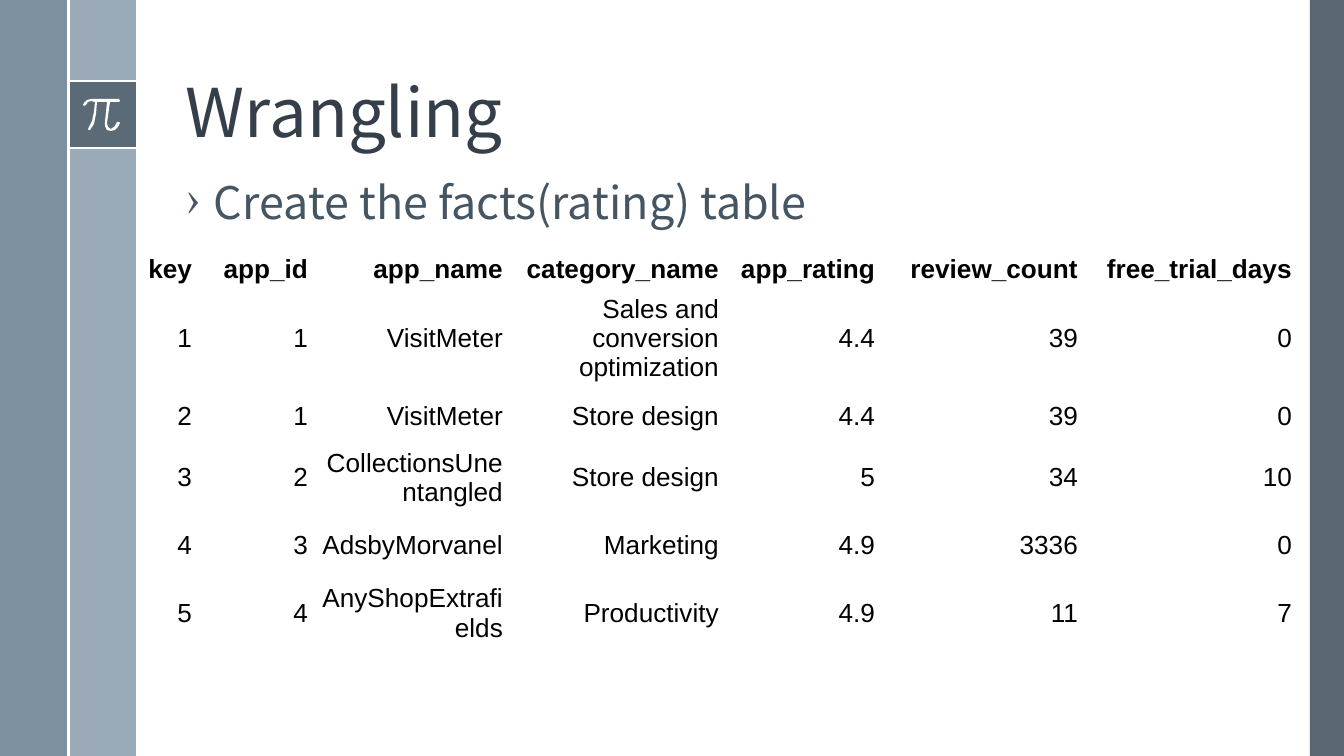
from lxml.etree import SubElement
from pptx import Presentation
from pptx.dml.color import RGBColor
from pptx.enum.shapes import MSO_CONNECTOR as CONNECTOR, MSO_SHAPE as SHAPE
from pptx.enum.text import MSO_ANCHOR as ANCHOR, PP_ALIGN as ALIGN
from pptx.oxml.ns import qn
from pptx.util import Pt

SCALE = 914400 / 134.4
WIDTH, HEIGHT = 1344, 756
SLATE, WHITE = "465562", "FFFFFF"
HEADING_FONT, TABLE_FONT = "Noto Sans CJK SC", "Arial"
NO_GRID_STYLE = "{2D5ABB26-0587-4C30-8999-92F81FD0307C}"

PI_OUTLINE = [
    (36, 0), (8, 0), (4, 1), (1, 4), (0, 6), (1, 7), (3, 6), (5, 3), (8, 2),
    (12, 3), (11, 13), (9, 22), (6, 28), (5, 30), (6, 31), (7, 31), (11, 25),
    (13, 15), (14, 3), (24, 3), (22, 23), (22, 27), (24, 31), (28, 32),
    (32, 31), (35, 28), (37, 24), (36, 23), (34, 23), (32, 27), (28, 30),
    (25, 28), (24, 24), (27, 3), (36, 3), (37, 2),
]
COLUMN_WIDTHS = [102, 116, 195, 216, 156, 203, 214]
ROW_HEIGHTS = [36, 67, 55, 51, 67, 36]
RATINGS = [
    ["key", "app_id", "app_name", "category_name", "app_rating",
     "review_count", "free_trial_days"],
    ["1", "1", "VisitMeter", "Sales and conversion optimization", "4.4", "39", "0"],
    ["2", "1", "VisitMeter", "Store design", "4.4", "39", "0"],
    ["3", "2", "CollectionsUnentangled", "Store design", "5", "34", "10"],
    ["4", "3", "AdsbyMorvanel", "Marketing", "4.9", "3336", "0"],
    ["5", "4", "AnyShopExtrafields", "Productivity", "4.9", "11", "7"],
]


def px(length):
    """Turn px into EMU."""
    return round(length * SCALE)


def rgb(value):
    """Turn a hex string into a colour."""
    return RGBColor.from_string(value)


def paint(shape, color, opacity=100):
    """Give a shape a flat fill without line or shadow."""
    shape.shadow.inherit = False
    shape.line.fill.background()
    shape.fill.solid()
    shape.fill.fore_color.rgb = rgb(color)
    if opacity < 100:
        fill_color = shape.element.spPr.find(qn("a:solidFill"))[0]
        SubElement(fill_color, qn("a:alpha"), val=str(opacity * 1000))


def add_block(slide, box, color, opacity=100):
    """Add a plain rectangle."""
    block = slide.shapes.add_shape(SHAPE.RECTANGLE, *map(px, box))
    paint(block, color, opacity)


def add_rule(slide, start, end):
    """Add a thin white line."""
    rule = slide.shapes.add_connector(CONNECTOR.STRAIGHT, *map(px, start + end))
    rule.line.color.rgb = rgb(WHITE)
    rule.line.width = Pt(1.5)
    SubElement(rule.element.spPr, qn("a:effectLst"))


def set_insets(holder, side, top):
    """Set equal side insets and equal top and bottom insets."""
    holder.margin_left = holder.margin_right = px(side)
    holder.margin_top = holder.margin_bottom = px(top)


def set_font(paragraph, name, size, color, bold=False):
    """Format every run of a paragraph."""
    for run in paragraph.runs:
        run.font.name, run.font.size, run.font.bold = name, Pt(size), bold
        run.font.color.rgb = rgb(color)


def add_heading(slide, box, text, size, color, anchor):
    """Add a one-paragraph text box and return the paragraph."""
    frame = slide.shapes.add_textbox(*map(px, box)).text_frame
    frame.word_wrap = True
    frame.vertical_anchor = anchor
    set_insets(frame, 10, 5)
    frame.text = text
    paragraph = frame.paragraphs[0]
    paragraph.line_spacing = 0.9
    set_font(paragraph, HEADING_FONT, size, color)
    return paragraph


def add_pi(slide, left, top):
    """Draw the pi sign from its outline."""
    points = [(px(left + x), px(top + y)) for x, y in PI_OUTLINE]
    builder = slide.shapes.build_freeform(*points[0])
    builder.add_line_segments(points[1:], close=True)
    paint(builder.convert_to_shape(), WHITE)


def add_side_bands(slide, box):
    """Add the left bands with the pi badge, and the right band."""
    left, top, width, height = box
    band, edge, badge_top = 67, left + 69, top + 81
    add_block(slide, (left + width - 34, top, 34, height), SLATE, 89)
    add_block(slide, (edge, top, band, height), "9BAAB7")
    add_block(slide, (left, top, band, height), "6A8093", 87)
    add_block(slide, (edge, badge_top, band, band), SLATE, 75)
    for y in (badge_top, badge_top + band):
        add_rule(slide, (edge, y), (edge + band, y))
    add_pi(slide, edge + 14, badge_top + 18)
    add_rule(slide, (edge, top), (edge, top + height))


def add_headings(slide, box):
    """Add the title and the bulleted line below it."""
    left, top, width, height = box
    add_heading(slide, (left, top, width, 137), "Wrangling", 36, "343F49",
                ANCHOR.BOTTOM)
    task = add_heading(slide, (left, top + 156, width, height - 156),
                       "Create the facts(rating) table", 24, SLATE, ANCHOR.TOP)
    indent = px(28)
    properties = task._p.get_or_add_pPr()
    properties.set("marL", str(indent))
    properties.set("indent", str(-indent))
    bullet_color = SubElement(properties, qn("a:buClr"))
    SubElement(bullet_color, qn("a:srgbClr"), val=SLATE)
    SubElement(properties, qn("a:buChar"), char="›")


def add_ratings(slide, left, top):
    """Add the right-aligned ratings table without grid."""
    box = (left, top, sum(COLUMN_WIDTHS), sum(ROW_HEIGHTS))
    holder = slide.shapes.add_table(len(RATINGS), len(COLUMN_WIDTHS), *map(px, box))
    table = holder.table
    table.first_row = table.horz_banding = False
    for style in holder.element.iter(qn("a:tableStyleId")):
        style.text = NO_GRID_STYLE
    for column, width in zip(table.columns, COLUMN_WIDTHS):
        column.width = px(width)
    for row, height, values in zip(table.rows, ROW_HEIGHTS, RATINGS):
        row.height = px(height)
        for cell, value in zip(row.cells, values):
            cell.text = value
            cell.fill.background()
            cell.vertical_anchor = ANCHOR.MIDDLE
            set_insets(cell, 5, 3)
            paragraph = cell.text_frame.paragraphs[0]
            paragraph.alignment = ALIGN.RIGHT
            set_font(paragraph, TABLE_FONT, 14, "000000", values is RATINGS[0])


def main():
    """Build and save the slide."""
    deck = Presentation()
    deck.slide_width, deck.slide_height = px(WIDTH), px(HEIGHT)
    slide = deck.slides.add_slide(deck.slide_layouts[6])
    add_side_bands(slide, (0, 0, WIDTH, HEIGHT))
    add_headings(slide, (176, 20, 1079, 660))
    add_ratings(slide, 95, 251)
    deck.save("out.pptx")


if __name__ == "__main__":
    main()
